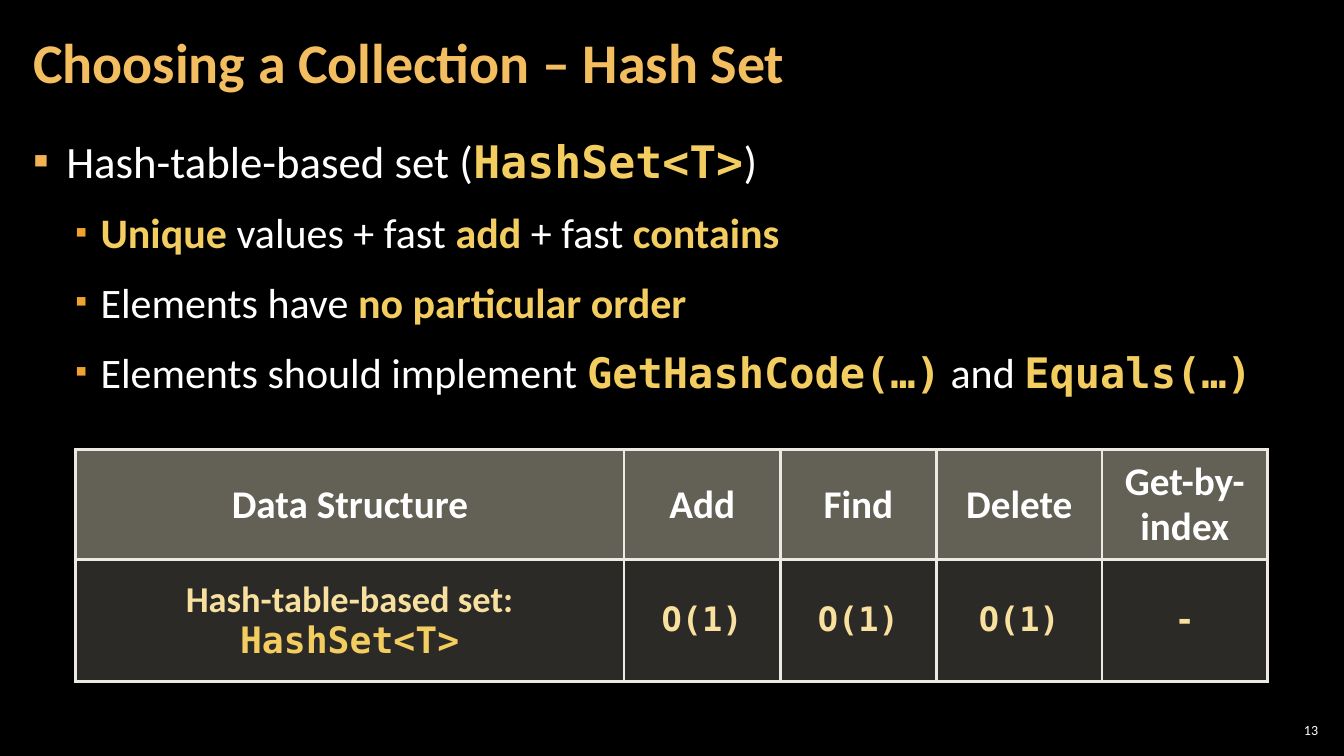
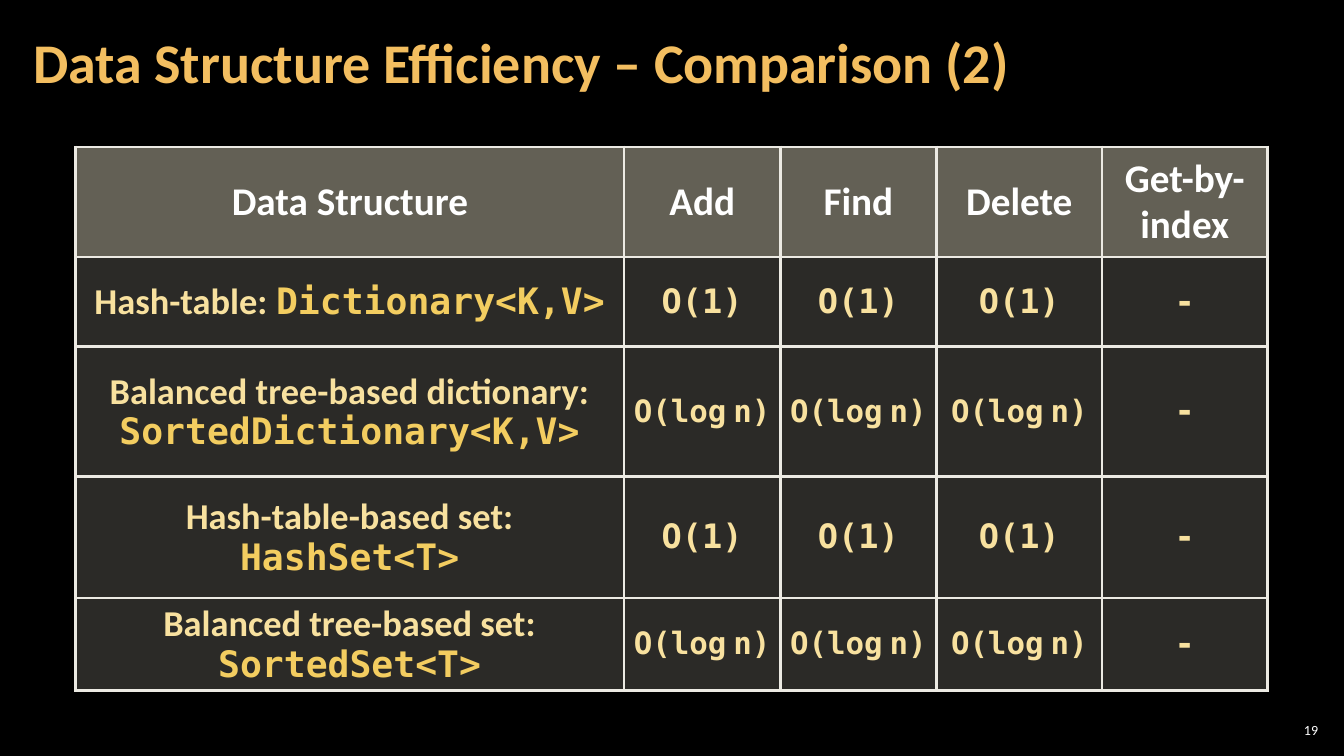
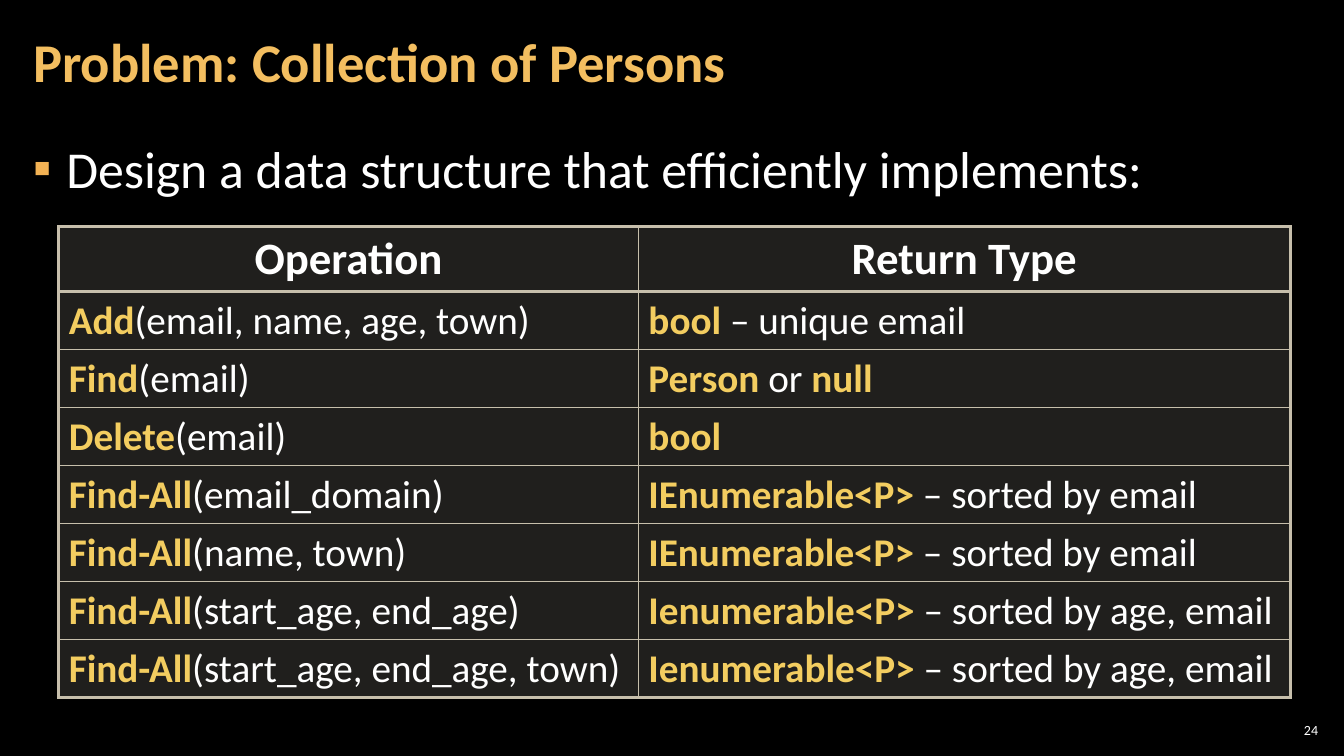
"""Build three dark slides on collections and their efficiency."""
from dataclasses import dataclass

from lxml.etree import SubElement
from pptx import Presentation
from pptx.dml.color import RGBColor
from pptx.enum.text import MSO_ANCHOR as Anchor, MSO_AUTO_SIZE as AutoSize, PP_ALIGN as Align
from pptx.oxml.ns import qn
from pptx.util import Inches, Pt

CELL = Inches(1 / 12)
SANS, MONO = "Calibri", "DejaVu Sans Mono"
BLACK, WHITE, GOLD, CREAM, TITLE = "000000", "FFFFFF", "F3CD60", "F8E19F", "F3BE60"
STONE, SAND, IVORY, KHAKI = "C6C0AA", "D9D5C7", "ECEAE3", "C7BFAC"
THICK, THIN = 2.25, 1


@dataclass(frozen=True)
class Look:
    """Text style of one paragraph."""
    size: float
    color: str = WHITE
    accent: str = GOLD
    bold: bool = False
    align: Align = Align.LEFT
    leading: float = 1


@dataclass(frozen=True)
class Paint:
    """Fills and borders of one table."""
    head: tuple
    body: tuple
    line: str
    inner: float


HEAD = Look(28, bold=True, align=Align.CENTER, leading=0.95)
LABEL = Look(26, CREAM, bold=True, align=Align.CENTER, leading=0.95)
CONSTANT = Look(24, CREAM, CREAM, True, Align.CENTER, 0.95)
LOG = Look(22, CREAM, CREAM, True, Align.CENTER, 0.95)
OPERATION_HEAD = Look(32, bold=True, align=Align.CENTER)
OPERATION = Look(28)
COST_PAINT = Paint((STONE, 50), (SAND, 20), IVORY, THICK)
OPERATION_PAINT = Paint((SAND, 15), (SAND, 15), KHAKI, THIN)
BULLETS = [(0.33, 0.33, "F2B254", 100), (0.67, 0.25, "F0A22E", 80)]

COST_HEADS = ["Data Structure", "Add", "Find", "Delete", "Get-by-index"]
COST_WIDTHS = [65.3, 18.6, 18.6, 19.7, 19.7]


def paint_color(value):
    """Turn a hex string into a colour."""
    return RGBColor.from_string(value)


def add_solid(parent, color):
    """Append a solid fill to an XML element."""
    fill = SubElement(parent, qn("a:solidFill"))
    SubElement(fill, qn("a:srgbClr"), val=color)


def cost_row(label, cost, look):
    """Return the cells of one data structure."""
    return [(label, LABEL)] + [(cost, look)] * 3 + [("`-`", CONSTANT)]


class Slides:
    """Hold the deck, its style and the current slide."""

    def __init__(self):
        """Start an empty deck with a black master."""
        self.deck = Presentation()
        self.deck.slide_width, self.deck.slide_height = 160 * CELL, 90 * CELL
        fill = self.deck.slide_master.background.fill
        fill.solid()
        fill.fore_color.rgb = paint_color(BLACK)
        self.page = None

    def place(self, *cells):
        """Turn grid cells into lengths."""
        return [round(cell * CELL) for cell in cells]

    def put_text(self, para, text, look):
        """Add text where *stars* mean strong and `ticks` mean code."""
        para.alignment, para.line_spacing = look.align, look.leading
        for strong, part in enumerate(text.split("*")):
            for code, piece in enumerate(part.split("`")):
                if piece:
                    marked = strong % 2 or code % 2
                    span = para.add_run()
                    span.text = piece
                    font = span.font
                    font.name = MONO if code % 2 else SANS
                    font.size = Pt(look.size)
                    font.bold = bool(marked or look.bold)
                    font.color.rgb = paint_color(look.accent if marked else look.color)

    def frame(self, box, side, anchor):
        """Set margins, wrapping and anchor of a box."""
        frame = box.text_frame
        frame.word_wrap, frame.auto_size = True, AutoSize.NONE
        frame.margin_left = frame.margin_right = Inches(side)
        frame.margin_top = frame.margin_bottom = Inches(0.04)
        frame.vertical_anchor = anchor
        return frame

    def start(self, title, number, size=40):
        """Add a slide with its title and number."""
        self.page = self.deck.slides.add_slide(self.deck.slide_layouts[5])
        box = self.page.shapes.title
        box.left, box.top, box.width, box.height = self.place(2.5, 0.5, 125.6, 14.5)
        para = self.frame(box, 0.12, Anchor.MIDDLE).paragraphs[0]
        self.put_text(para, title, Look(size, TITLE, bold=True, leading=0.9))
        box = self.page.shapes.add_textbox(*self.place(151.8, 85.7, 5.6, 2.5))
        para = self.frame(box, 0.04, Anchor.MIDDLE).paragraphs[0]
        self.put_text(para, str(number), Look(10, align=Align.RIGHT))

    def bullets(self, lines, sizes, leading):
        """Add a bulleted text of (level, text) lines."""
        box = self.page.shapes.add_textbox(*self.place(2.5, 15.1, 155, 73))
        frame = self.frame(box, 0.12, Anchor.TOP)
        for index, (level, text) in enumerate(lines):
            para = frame.add_paragraph() if index else frame.paragraphs[0]
            self.put_text(para, text, Look(sizes[level], leading=leading))
            para.level = level
            para.space_before = para.space_after = Pt(6)
            indent, hang, color, percent = BULLETS[level]
            props = para._p.get_or_add_pPr()
            props.set("marL", str(Inches(indent)))
            props.set("indent", str(-Inches(hang)))
            tint = SubElement(props, qn("a:buClr"))
            SubElement(tint, qn("a:srgbClr"), val=color)
            SubElement(props, qn("a:buSzPct"), val=str(percent * 1000))
            SubElement(props, qn("a:buFont"), typeface=SANS)
            SubElement(props, qn("a:buChar"), char="▪")

    def table(self, left, top, widths, heights, rows, paint):
        """Add a table of (text, look) cells."""
        area = self.place(left, top, sum(widths), sum(heights))
        grid = self.page.shapes.add_table(len(rows), len(widths), *area).table
        grid.first_row = grid.horz_banding = False
        for column, width in zip(grid.columns, self.place(*widths)):
            column.width = width
        for row, height in zip(grid.rows, self.place(*heights)):
            row.height = height
        for r, row in enumerate(rows):
            for c, (text, look) in enumerate(row):
                cell = grid.cell(r, c)
                cell.vertical_anchor = Anchor.MIDDLE
                if look in (CONSTANT, LOG):
                    cell.margin_left = cell.margin_right = Inches(0.04)
                edges = {"L": c == 0, "R": c == len(row) - 1,
                         "T": r < 2, "B": r in (0, len(rows) - 1)}
                self.borders(cell, edges, paint)
                self.fill(cell, *(paint.body if r else paint.head))
                self.put_text(cell.text_frame.paragraphs[0], text, look)

    def borders(self, cell, edges, paint):
        """Draw cell borders, thick where an edge is marked."""
        props = cell._tc.get_or_add_tcPr()
        for side, thick in edges.items():
            width = Pt(THICK if thick else paint.inner)
            add_solid(SubElement(props, qn("a:ln" + side), w=str(width)), paint.line)

    def fill(self, cell, color, opacity):
        """Fill a cell with a translucent colour."""
        cell.fill.solid()
        cell.fill.fore_color.rgb = paint_color(color)
        tint = cell._tc.tcPr.find(qn("a:solidFill"))[0]
        SubElement(tint, qn("a:alpha"), val=str(opacity * 1000))

    def costs(self, top, heights, rows):
        """Add a table of data structure costs."""
        head = [(text, HEAD) for text in COST_HEADS]
        self.table(9, top, COST_WIDTHS, heights, [head] + rows, COST_PAINT)


def main():
    """Build and save the deck."""
    slides = Slides()
    hash_set = cost_row("Hash-table-based set: `HashSet<T>`", "`O(1)`", CONSTANT)
    log_cost = "`O(log` `n)`"

    slides.start("Choosing a Collection – Hash Set", 13)
    slides.bullets([
        (0, "Hash-table-based set (`HashSet<T>`)"),
        (1, "*Unique* values + fast *add *+ fast *contains*"),
        (1, "Elements have *no particular order*"),
        (1, "Elements should implement `GetHashCode(…)` and `Equals(…)`"),
    ], (32, 30), 1.05)
    slides.costs(53.5, [13.1, 14.5], [hash_set])

    slides.start("Data Structure Efficiency – Comparison (2)", 19)
    slides.costs(17.5, [13.1, 10.7, 15.4, 14.5, 10.9], [
        cost_row("Hash-table: `Dictionary<K,V>`", "`O(1)`", CONSTANT),
        cost_row("Balanced tree-based dictionary: `SortedDictionary<K,V>`", log_cost, LOG),
        hash_set,
        cost_row("Balanced tree-based set: `SortedSet<T>`", log_cost, LOG),
    ])

    slides.start("Problem: Collection of Persons", 24, 39)
    slides.bullets([(0, "Design a data structure that efficiently implements:")], (37,), 1.1)
    operations = [
        ("*Add*(email, name, age, town)", "*bool *– unique email"),
        ("*Find*(email)", "*Person* or* null*"),
        ("*Delete*(email)", "*bool*"),
        ("*Find-All*(email_domain)", "*IEnumerable<P> *– sorted by email"),
        ("*Find-All*(name, town)", "*IEnumerable<P> *– sorted by email"),
        ("*Find-All*(start_age, end_age)", "*Ienumerable<P> *– sorted by age, email"),
        ("*Find-All*(start_age, end_age, town)", "*Ienumerable<P> *– sorted by age, email"),
    ]
    rows = [[(text, OPERATION_HEAD) for text in ("Operation", "Return Type")]]
    rows += [[(text, OPERATION) for text in pair] for pair in operations]
    slides.table(7, 27, [69, 77.6], [7.7] + [6.9] * len(operations), rows, OPERATION_PAINT)

    slides.deck.save("out.pptx")


if __name__ == "__main__":
    main()
